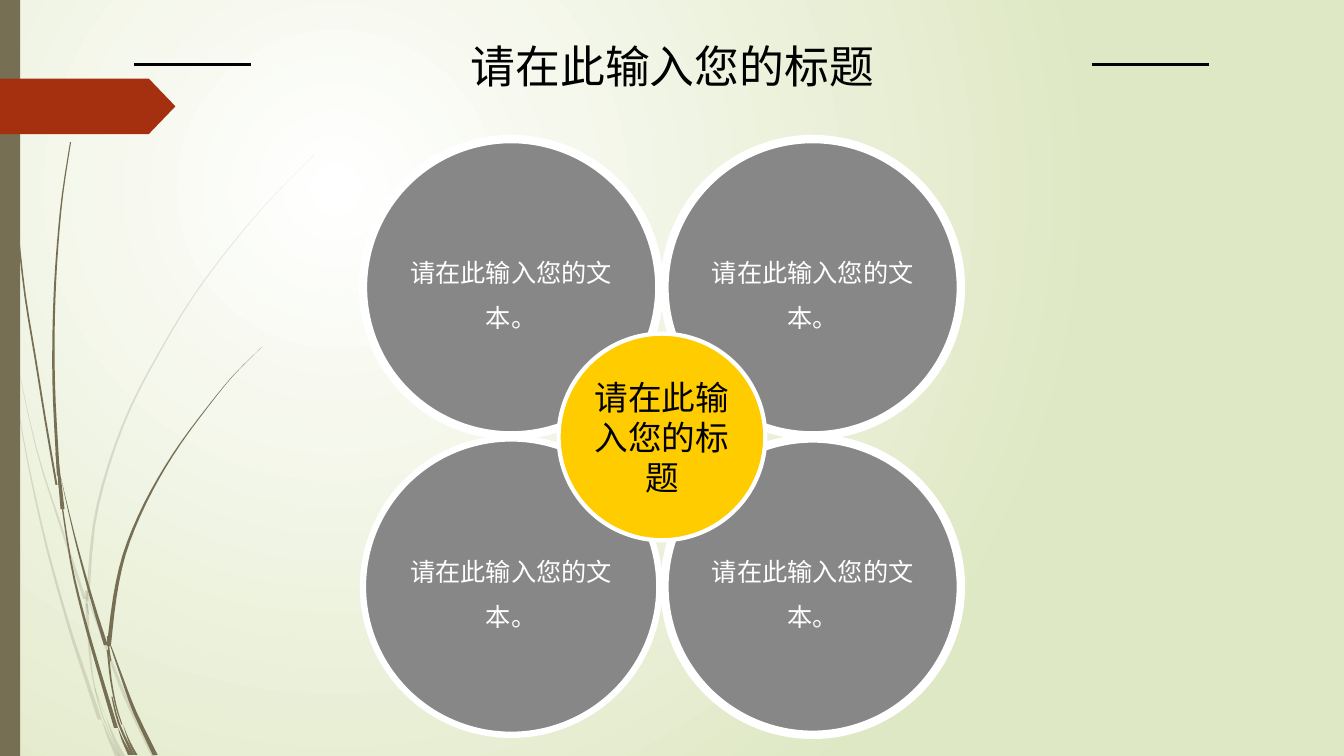
from dataclasses import dataclass

from pptx import Presentation
from pptx.dml.color import RGBColor as RGB
from pptx.enum.shapes import MSO_CONNECTOR as LINK, MSO_SHAPE as SHAPE
from pptx.enum.text import (
    MSO_ANCHOR as ANCHOR, MSO_AUTO_SIZE as FIT, PP_ALIGN as ALIGN)
from pptx.oxml.ns import qn
from pptx.util import Inches, Pt
from lxml.etree import SubElement as Sub


@dataclass(frozen=True)
class Theme:
    font: str = "TeX Gyre Adventor"
    black: RGB = RGB(0, 0, 0)
    white: RGB = RGB(255, 255, 255)
    gray: RGB = RGB(0x87, 0x87, 0x87)
    gold: RGB = RGB(0xFF, 0xCC, 0x00)
    moss: RGB = RGB(0x76, 0x6F, 0x54)
    rust: RGB = RGB(0xA5, 0x30, 0x10)
    pale: RGB = RGB(0xDF, 0xE8, 0xC4)
    title: int = 32
    hub: int = 24
    body: int = 18


THEME = Theme()
TITLE = "请在此输入您的标题"
BODY = "请在此输入您的文本。"

# Each blade part: width at the tip, width at the root, spine in inches.
FAINT = [
    (0.03, 0, [(0.01, 2.82), (0.06, 3.22), (0.11, 3.5)]),
    (0, 0.03, [(0.14, 3.45), (0.36, 4.45), (0.6, 5.21), (0.84, 5.94)]),
    (0.01, 0.05, [(0.88, 5.96), (1.08, 6.5), (1.25, 6.93), (1.53, 7.51)]),
    (0, 0.05, [(1.05, 7.11), (1.13, 7.32), (1.22, 7.51)]),
    (0, 0.04, [(0.11, 3.5), (0.19, 4.1), (0.3, 4.7), (0.47, 5.45),
               (0.68, 6.2), (0.81, 6.6), (0.99, 7.14)]),
    (0.03, 0, [(0.86, 5.99), (0.89, 6.46), (0.94, 6.82), (1.05, 7.11)]),
    (0, 0.03, [(3.12, 1.53), (2.68, 1.98), (2.28, 2.45), (1.91, 2.95),
               (1.59, 3.48), (1.3, 4.03), (1.08, 4.61), (0.93, 5.22),
               (0.87, 5.96)]),
    (0, 0.05, [(1.01, 7.14), (1.08, 7.32), (1.17, 7.51)]),
    (0.03, 0.01, [(0.86, 5.86), (0.86, 5.98), (0.88, 6.1)]),
    (0.01, 0.01, [(0.94, 6.83), (1.02, 7.11), (1.19, 7.51)]),
]
DARK = [
    (0.01, 0.02, [(0.04, 0), (0.05, 0.48), (0.08, 1.1), (0.12, 1.71),
                  (0.18, 2.33), (0.25, 2.94), (0.35, 3.55), (0.45, 4.17),
                  (0.56, 4.81)]),
    (0, 0.04, [(0.6, 4.72), (0.74, 5.32), (0.9, 5.91), (1.05, 6.4)]),
    (0.01, 0.05, [(1.1, 6.41), (1.22, 6.75), (1.34, 7.07), (1.54, 7.49)]),
    (0.01, 0.04, [(0.58, 4.77), (0.7, 5.56), (0.82, 6.08), (0.96, 6.58),
                  (1.15, 7.22)]),
    (0.01, 0.03, [(0.7, 1.41), (0.62, 1.93), (0.57, 2.45), (0.54, 2.97),
                  (0.53, 3.49), (0.54, 4.0), (0.58, 4.72)]),
    (0, 0.03, [(1.22, 7.19), (1.28, 7.35), (1.35, 7.49)]),
    (0.02, 0.04, [(0.56, 4.49), (0.59, 4.75), (0.62, 5.05)]),
    (0, 0.04, [(2.6, 3.44), (2.31, 3.73), (2.05, 4.05), (1.79, 4.4),
               (1.57, 4.75), (1.38, 5.12), (1.23, 5.51), (1.14, 5.92),
               (1.08, 6.41)]),
    (0, 0.04, [(1.17, 7.22), (1.22, 7.35), (1.29, 7.49)]),
    (0.02, 0.01, [(1.07, 6.45), (1.1, 6.74), (1.15, 7), (1.21, 7.19)]),
    (0.02, 0.01, [(1.07, 6.31), (1.08, 6.44), (1.1, 6.56)]),
    (0.01, 0.03, [(1.11, 6.91), (1.18, 7.18), (1.32, 7.49)]),
]


def paint(shape, fill, line=None, width=0):
    shape.shadow.inherit = False
    shape.fill.solid()
    shape.fill.fore_color.rgb = fill
    if line is None:
        shape.line.fill.background()
    else:
        shape.line.color.rgb = line
        shape.line.width = Pt(width)


def write(shape, text, size, color, space=None):
    frame = shape.text_frame
    frame.auto_size = FIT.NONE
    frame.word_wrap = True
    frame.vertical_anchor = ANCHOR.MIDDLE
    para = frame.paragraphs[0]
    para.alignment = ALIGN.CENTER
    para.line_spacing = space
    run = para.add_run()
    run.text = text
    run.font.name = THEME.font
    run.font.size = Pt(size)
    run.font.color.rgb = color


def add_glow(slide):
    """Fill the background with a round gradient, lit at the upper left."""
    fill = slide.background.fill
    fill.gradient()
    for stop, color in zip(fill.gradient_stops, (THEME.white, THEME.pale)):
        stop.color.rgb = color
    grad = slide.element.find(".//" + qn("a:gradFill"))
    grad.remove(grad.find(qn("a:lin")))
    ring = Sub(grad, qn("a:path"), path="circle")
    Sub(ring, qn("a:fillToRect"), l="50000", t="50000", r="100000", b="100000")


def smooth(spine, steps=3):
    """Return points on a Catmull-Rom curve through the spine."""
    pts = [spine[0], *spine, spine[-1]]
    out = []
    for a, b, c, d in zip(pts, pts[1:], pts[2:], pts[3:]):
        for i in range(steps):
            t = i / steps
            out.append(tuple(
                0.5 * (2 * q + (r - p) * t + (2 * p - 5 * q + 4 * r - s) * t**2
                       + (3 * q - p - 3 * r + s) * t**3)
                for p, q, r, s in zip(a, b, c, d)))
    return out + [spine[-1]]


def add_blade(slide, tip, root, spine, alpha=None):
    """Draw part of a grass blade whose width runs from tip to root."""
    curve = smooth(spine)
    last = len(curve) - 1
    half = [(tip + (root - tip) * i / last) / 2 for i in range(last + 1)]
    left = [(x - w, y) for (x, y), w in zip(curve, half)]
    right = [(x + w, y) for (x, y), w in zip(curve, half)]
    edge = [(Inches(x), Inches(y)) for x, y in left + right[::-1]]
    pen = slide.shapes.build_freeform(*edge[0])
    pen.add_line_segments(edge[1:], close=True)
    blade = pen.convert_to_shape()
    paint(blade, THEME.moss)
    if alpha:
        tint = blade.element.spPr.find(qn("a:solidFill"))[0]
        Sub(tint, qn("a:alpha"), val=str(alpha * 1000))


def add_block(slide, kind, x, y, w, h, fill):
    block = slide.shapes.add_shape(
        kind, Inches(x), Inches(y), Inches(w), Inches(h))
    paint(block, fill)
    return block


def add_disc(slide, x, y, size, fill, border):
    disc = add_block(slide, SHAPE.OVAL, x, y, size, size, fill)
    paint(disc, fill, THEME.white, border)
    frame = disc.text_frame
    frame.margin_left = frame.margin_right = Inches(0.02)
    frame.margin_top = frame.margin_bottom = 0
    return disc


def add_rule(slide, x, y, size):
    rule = slide.shapes.add_connector(
        LINK.STRAIGHT, Inches(x + size), Inches(y), Inches(x), Inches(y))
    rule.line.color.rgb = THEME.black
    rule.line.width = Pt(1.5)
    Sub(rule.element.spPr, qn("a:effectLst"))


def set_title(slide):
    title = slide.shapes.title
    title.left, title.top = Inches(2.53), Inches(0.12)
    title.width, title.height = Inches(8.28), Inches(1.06)
    write(title, TITLE, THEME.title, THEME.black)


def main():
    deck = Presentation()
    deck.slide_width, deck.slide_height = Inches(13.33), Inches(7.5)
    slide = deck.slides.add_slide(deck.slide_layouts[5])
    add_glow(slide)
    set_title(slide)

    for part in FAINT:
        add_blade(slide, *part, alpha=20)
    for part in DARK:
        add_blade(slide, *part)
    add_block(slide, SHAPE.RECTANGLE, 0, 0, 0.2, 7.5, THEME.moss)
    tag = add_block(slide, SHAPE.PENTAGON, 0, 0.78, 1.74, 0.55, THEME.rust)
    tag.adjustments[0] = 0.48

    for x, y, border in ((3.6, 4.35, 4.5), (3.6, 1.38, 6),
                         (6.59, 1.38, 6), (6.59, 4.35, 6)):
        petal = add_disc(slide, x, y, 2.94, THEME.gray, border)
        write(petal, BODY, THEME.body, THEME.white, 1.5)
    hub = add_disc(slide, 5.54, 3.31, 2.05, THEME.gold, 3)
    write(hub, TITLE, THEME.hub, THEME.black)

    for x in (1.33, 10.83):
        add_rule(slide, x, 0.64, 1.16)
    deck.save("out.pptx")


if __name__ == "__main__":
    main()
